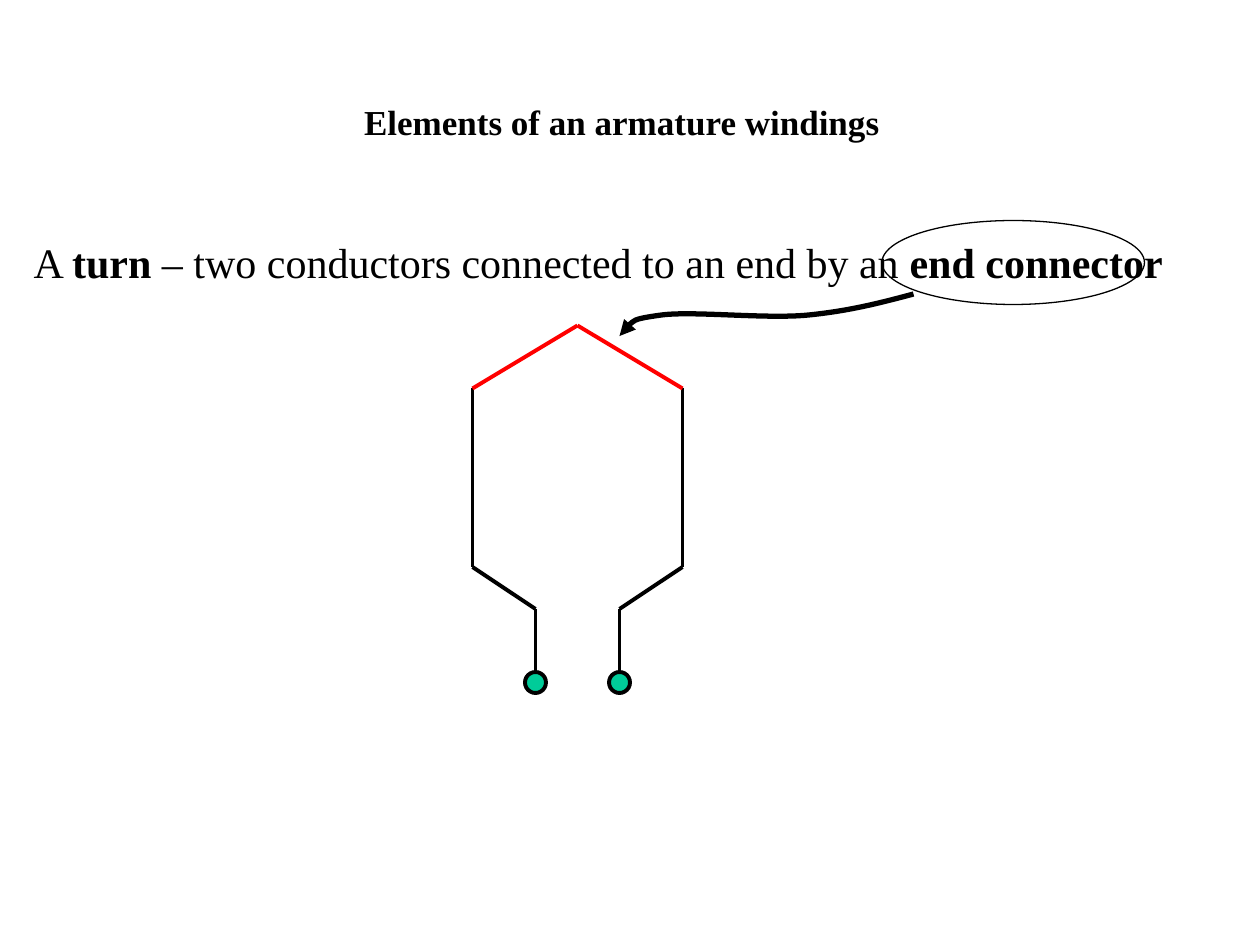
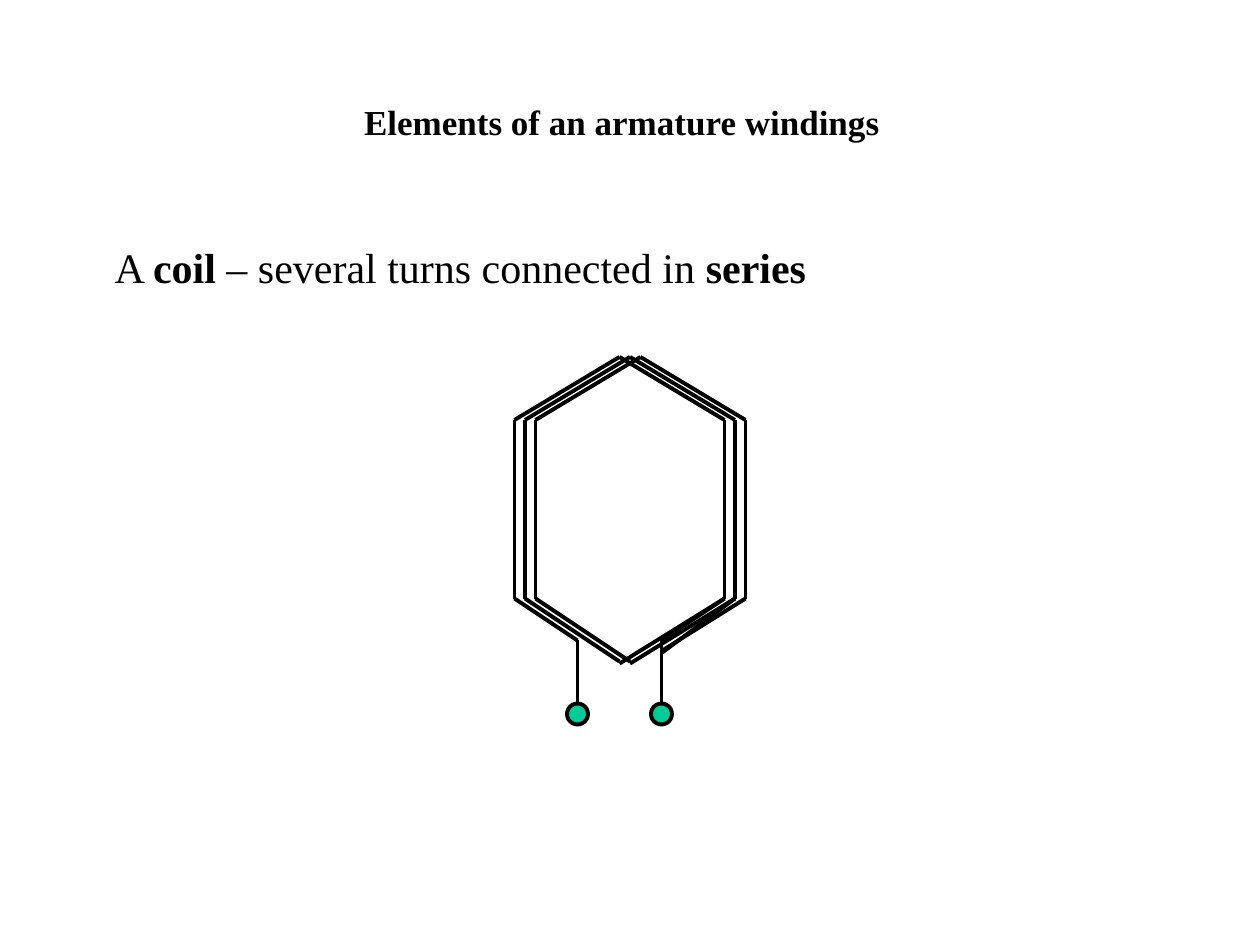
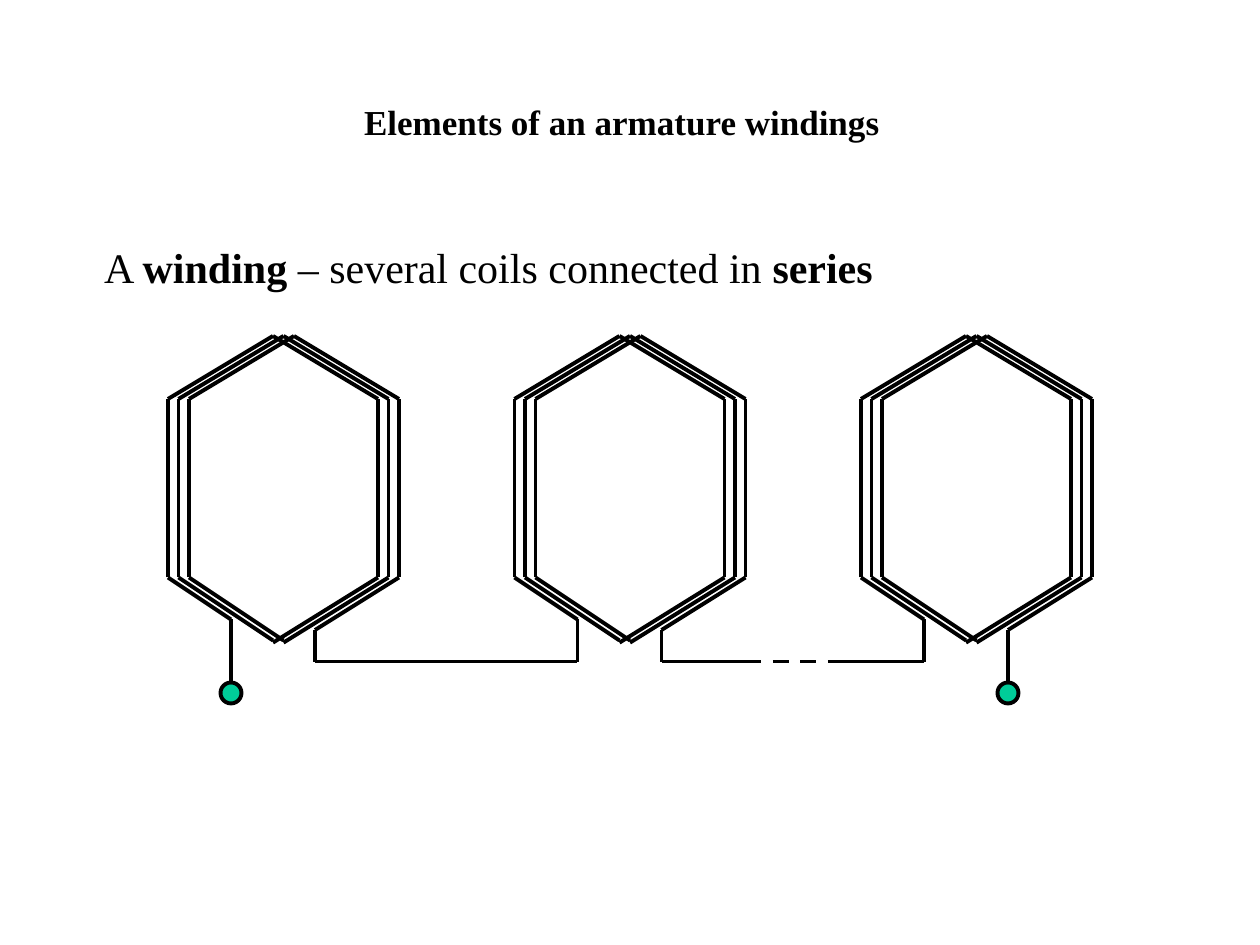
from itertools import pairwise

from pptx import Presentation
from pptx import util as u
from pptx.dml.color import RGBColor
from pptx.enum import dml, shapes, text
from pptx.oxml.ns import qn
from lxml import etree

BLACK = RGBColor(0x00, 0x00, 0x00)
RED = RGBColor(0xFF, 0x00, 0x00)
GREEN = RGBColor(0x00, 0xCC, 0x99)
FONT = "Times New Roman"
TITLE = "Elements of an armature windings"
TITLE_FORMAT = {"name": FONT, "size": u.Pt(20)}
BODY_FORMAT = {"name": FONT, "size": u.Pt(24)}
WIRE_WIDTH = u.Pt(2.25)

# Drawings sit on a grid of twelve steps to 2.54 cm
GRID = u.Cm(2.54) // 12
TURN_WIDTH, TURN_HEIGHT, PEAK = 20, 17, 6


def draw_wire(page, points, color=BLACK, dash=None):
    """Join grid points one after another with straight lines."""
    for start, end in pairwise(points):
        ends = [round(value * GRID) for value in (*start, *end)]
        wire = page.shapes.add_connector(shapes.MSO_CONNECTOR.STRAIGHT, *ends)
        wire.line.color.rgb = color
        wire.line.width = WIRE_WIDTH
        if dash:
            wire.line.dash_style = dash
        etree.SubElement(wire.element.spPr, qn("a:effectLst"))


def draw_coil(page, left, top):
    """Draw three turns in series, with a lead at each side."""
    bottom = top + TURN_HEIGHT
    for shift in range(3):
        west, east = left + shift, left + shift + TURN_WIDTH
        draw_wire(page, [(west, bottom), (west, top), (west + TURN_WIDTH / 2, top - PEAK),
                         (east, top), (east, bottom)])
    for shift in range(2):
        low = left + shift + 10
        draw_wire(page, [(left + shift + 1, bottom), (low, bottom + 6)])
        draw_wire(page, [(low, bottom + 6.2), (left + shift + TURN_WIDTH, bottom)])
    draw_wire(page, [(left, bottom), (left + 6, bottom + 4)])
    draw_wire(page, [(left + 22, bottom), (left + 14, bottom + 5)])


deck = Presentation()
deck.slide_width, deck.slide_height = u.Cm(25.4), u.Cm(19.05)

# Definition spans (every second one bold), box in cm, wrapping, top left of each terminal
definitions = [
    (["A ", "turn", " – two conductors connected to an end by an ", "end connector"],
     (0.43, 4.65, 23.5, 1.27), True, [(50, 64), (58, 64)]),
    (["A ", "coil", " – several turns connected in ", "series"],
     (2.06, 4.75, 14.5, 1.27), False, [(54, 67), (62, 67)]),
    (["A ", "winding", " – several coils connected in ", "series"],
     (1.85, 4.75, 16.05, 1.27), False, [(21, 65), (95, 65)]),
]

pages = []
for spans, body_place, wrap, terminals in definitions:
    page = deck.slides.add_slide(deck.slide_layouts[6])
    pages.append(page)
    texts = [
        (["", TITLE], (7.09, 1.9, 10.92, 1.12), False, TITLE_FORMAT),
        (spans, body_place, wrap, BODY_FORMAT),
    ]
    for parts, place, wraps, font_format in texts:
        box = page.shapes.add_textbox(*map(u.Cm, place))
        box.text_frame.word_wrap = wraps
        box.text_frame.auto_size = text.MSO_AUTO_SIZE.SHAPE_TO_FIT_TEXT
        para = box.text_frame.paragraphs[0]
        for number, part in enumerate(parts):
            if not part:
                continue
            span = para.add_run()
            span.text = part
            for name, value in font_format.items():
                setattr(span.font, name, value)
            span.font.bold = number % 2 == 1
            span.font.color.rgb = BLACK
    for left, top in terminals:
        terminal = page.shapes.add_shape(
            shapes.MSO_SHAPE.OVAL, left * GRID, top * GRID, 2 * GRID, 2 * GRID)
        terminal.shadow.inherit = False
        terminal.fill.solid()
        terminal.fill.fore_color.rgb = GREEN
        terminal.line.color.rgb = BLACK
        terminal.line.width = WIRE_WIDTH

turn_page, coil_page, winding_page = pages

# Turn: two conductors and the end connector in red
draw_wire(turn_page, [(45, 37), (45, 54), (51, 58), (51, 64)])
draw_wire(turn_page, [(65, 37), (65, 54), (59, 58), (59, 64)])
draw_wire(turn_page, [(45, 37), (55, 31), (65, 37)], RED)

ring = turn_page.shapes.add_shape(
    shapes.MSO_SHAPE.OVAL, 84 * GRID, 21 * GRID, 25 * GRID, 8 * GRID)
curve = [(84, 28.8), (81, 29.6), (77, 30), (73, 30.4), (66, 29.6), (63, 30),
         (60, 30.4), (59.5, 31.2), (59, 32)]
outline = turn_page.shapes.build_freeform(87, 28, scale=GRID)
outline = turn_page.shapes.build_freeform(87 * GRID, 28 * GRID)
outline.add_line_segments([(round(x * GRID), round(y * GRID)) for x, y in curve], close=False)
pointer = outline.convert_to_shape()

for shape, width in ((ring, 0.75), (pointer, 3)):
    shape.shadow.inherit = False
    shape.fill.background()
    shape.line.color.rgb = BLACK
    shape.line.width = u.Pt(width)

# Each three straight segments become one Bézier segment
track = pointer.element.xpath(".//a:path")[0]
segments = track.findall(qn("a:lnTo"))
for first in range(0, len(segments), 3):
    bezier = etree.SubElement(track, qn("a:cubicBezTo"))
    for segment in segments[first:first + 3]:
        bezier.append(segment[0])
        track.remove(segment)
etree.SubElement(pointer.line._get_or_add_ln(), qn("a:tailEnd"), type="triangle")

# Coil
draw_coil(coil_page, 49, 40)
draw_wire(coil_page, [(55, 61), (55, 67)])
draw_wire(coil_page, [(69, 57), (63, 61), (63, 67)])
draw_wire(coil_page, [(70, 57), (63, 62.2)])

# Winding: three coils in series
for left in range(16, 83, 33):
    draw_coil(winding_page, left, 38)
for points in (
    [(22, 59), (22, 65)],
    [(30, 60), (30, 63), (55, 63), (55, 59)],
    [(63, 60), (63, 63), (71, 63)],
    [(79, 63), (88, 63), (88, 59)],
    [(96, 60), (96, 65)],
):
    draw_wire(winding_page, points)
draw_wire(winding_page, [(71, 63), (79, 63)], dash=dml.MSO_LINE.DASH)

deck.save("out.pptx")
